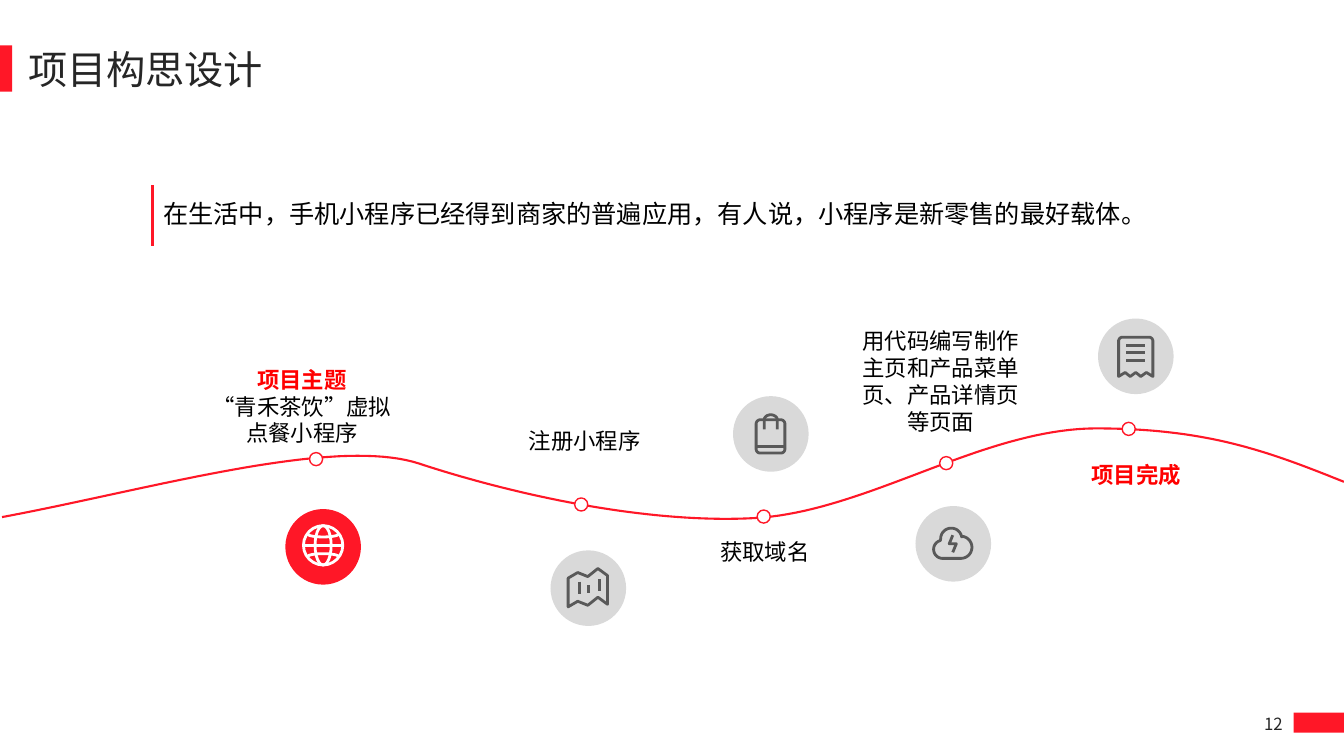
from dataclasses import dataclass
from math import cos, radians, sin

from lxml import etree
from pptx import Presentation
from pptx import util as u
from pptx.dml.color import RGBColor
from pptx.enum import shapes, text
from pptx.oxml.ns import qn

# Grid: every length is a number of square cells, 133.3 columns by 75 rows
CELL = u.Inches(0.1)
COLUMNS, ROWS = 133.3, 75
FONT = "Noto Sans CJK SC"
RED, BRIGHT_RED, WHITE, BLACK = "FF1727", "FF0000", "FFFFFF", "000000"
INK, GREY, LIGHT_GREY = "262626", "595959", "D9D9D9"
DOT_SIZE, DISC_SIZE, DISC_SHIFT = 1.3, 7.5, 0.7

Point = tuple[float, float]
Box = tuple[float, float, float, float]


@dataclass
class Stroke:
    points: list[Point]
    closed: bool = False


@dataclass
class Line:
    words: str
    size: float = 16
    color: str = BLACK
    bold: bool = False


@dataclass
class Milestone:
    dot: Point
    disc_y: float
    icon: list[Stroke]
    label_box: Box
    label: list[Line]
    disc_color: str = LIGHT_GREY
    icon_color: str = GREY


def cells(*lengths: float) -> list[int]:
    return [round(length * CELL) for length in lengths]


def rgb(color: str) -> RGBColor:
    return RGBColor.from_string(color)


# Outlines as point lists
def arc(x: float, y: float, rx: float, ry: float, start: int, end: int) -> list[Point]:
    angles = [radians(start + (end - start) * step / 24) for step in range(25)]
    return [(x + rx * cos(angle), y + ry * sin(angle)) for angle in angles]


def bezier(start: Point, *segments: tuple[Point, Point, Point]) -> list[Point]:
    points = [start]
    for a, b, c in segments:
        p = points[-1]
        for step in range(1, 41):
            t = step / 40
            weights = ((1 - t) ** 3, 3 * t * (1 - t) ** 2, 3 * t * t * (1 - t), t ** 3)
            points.append(tuple(sum(w * q[axis] for w, q in zip(weights, (p, a, b, c)))
                                for axis in (0, 1)))
    return points


# Drawing functions
def draw_strokes(slide, strokes: list[Stroke], origin: Point, color: str, width: float) -> None:
    builder = None
    for stroke in strokes:
        start, *rest = [tuple(cells(origin[0] + x, origin[1] + y)) for x, y in stroke.points]
        if builder is None:
            builder = slide.shapes.build_freeform(*start, scale=1.0)
        else:
            builder.move_to(*start)
        builder.add_line_segments(rest, close=stroke.closed)
    shape = builder.convert_to_shape()
    shape.shadow.inherit = False
    shape.fill.background()
    shape.line.color.rgb = rgb(color)
    shape.line.width = u.Pt(width)


def draw_shape(slide, kind, box: Box, fill: str, outline: str | None = None) -> None:
    shape = slide.shapes.add_shape(kind, *cells(*box))
    shape.shadow.inherit = False
    shape.fill.solid()
    shape.fill.fore_color.rgb = rgb(fill)
    if outline:
        shape.line.color.rgb = rgb(outline)
        shape.line.width = u.Pt(1)
    else:
        shape.line.fill.background()


def draw_circle(slide, center: Point, size: float, fill: str, outline: str | None = None) -> None:
    box = (center[0] - size / 2, center[1] - size / 2, size, size)
    draw_shape(slide, shapes.MSO_SHAPE.OVAL, box, fill, outline)


def write(shape, box: Box, lines: list[Line], align=text.PP_ALIGN.LEFT, spacing: float = 1) -> None:
    shape.left, shape.top, shape.width, shape.height = cells(*box)
    frame = shape.text_frame
    formats = {"word_wrap": True, "auto_size": text.MSO_AUTO_SIZE.NONE,
               "vertical_anchor": text.MSO_ANCHOR.TOP}
    for name, value in formats.items():
        setattr(frame, name, value)
    for number, line in enumerate(lines):
        paragraph = frame.add_paragraph() if number else frame.paragraphs[0]
        paragraph.alignment, paragraph.line_spacing = align, spacing
        run = paragraph.add_run()
        run.text = line.words
        for name, value in {"name": FONT, "size": u.Pt(line.size), "bold": line.bold}.items():
            setattr(run.font, name, value)
        run.font.color.rgb = rgb(line.color)
        etree.SubElement(run.font._element, qn("a:ea")).set("typeface", FONT)


def add_text(slide, box: Box, lines: list[Line], **formats) -> None:
    write(slide.shapes.add_textbox(*cells(*box)), box, lines, **formats)


def add_rule(slide, start: Point, end: Point) -> None:
    rule = slide.shapes.add_connector(shapes.MSO_CONNECTOR.STRAIGHT, *cells(*start, *end))
    rule.line.color.rgb = rgb(RED)
    rule.line.width = u.Pt(2.25)
    etree.SubElement(rule._element.spPr, qn("a:effectLst"))


# Icons, measured from the centre of their disc
GLOBE = [Stroke(arc(0, -0.15, 1.95, 1.95, 0, 360), True),
         Stroke(arc(0, -0.15, 0.8, 1.95, 0, 360), True),
         Stroke([(-1.95, -0.15), (1.95, -0.15)]),
         Stroke(arc(0, -1.25, 1.5, 0.27, 180, 0)),
         Stroke(arc(0, 0.95, 1.5, 0.27, 180, 360))]
MAP = [Stroke([(-2, -1), (-1.05, -1.55), (-0.05, -1.15), (0.95, -1.95), (1.9, -1.25),
               (1.9, 1.6), (0.95, 0.9), (-0.05, 1.7), (-1.05, 1.3), (-2, 1.85)], True)]
MAP += [Stroke([(x, top), (x, bottom)])
        for x, top, bottom in ((-0.9, -0.65, 0.6), (0.05, -0.3, 0.5), (1.1, -0.9, 0.25))]
BAG = [Stroke(arc(-1.05, -1, 0.4, 0.4, 180, 270) + arc(1, -1, 0.4, 0.4, 270, 360)
              + arc(1, 1.5, 0.4, 0.4, 0, 90) + arc(-1.05, 1.5, 0.4, 0.4, 90, 180), True),
       Stroke([(-1.45, 1.25), (1.4, 1.25)]),
       Stroke([(-0.65, -0.45)] + arc(0, -1.4, 0.65, 0.5, 180, 360) + [(0.65, -0.45)])]
CLOUD = [Stroke(arc(-1.05, 0.55, 0.9, 0.9, 90, 255) + arc(-0.2, -0.5, 1.05, 1.05, 180, 350)
                + arc(0.75, 0.35, 1.1, 1.1, 280, 450), True),
         Stroke([(-0.05, -0.85), (-0.4, 0), (0.3, 0), (-0.05, 0.85)])]
RECEIPT = [Stroke(arc(-1.3, -1.5, 0.4, 0.4, 180, 270) + arc(1.3, -1.5, 0.4, 0.4, 270, 360)
                  + [(1.7, 2), (1.05, 1.6), (0.5, 2), (0, 1.6), (-0.55, 2),
                     (-1.05, 1.6), (-1.7, 2)], True)]
RECEIPT += [Stroke([(-0.95, y), (0.95, y)]) for y in (-1.1, -0.4, 0.4)]

WAVE = bezier((0.2, 51.3),
              ((14.7, 48.6), (33.1, 43.2), (41.6, 46)),
              ((50.1, 48.8), (63.6, 52), (74.8, 51.4)),
              ((85.9, 50.8), (97.3, 42.6), (108.6, 42.5)),
              ((119.8, 42.5), (125.8, 44.8), (COLUMNS, 47.8)))

MILESTONES = [
    Milestone((31.35, 45.55), 54.25, GLOBE, (19.1, 35.8, 21.7, 9.1),
              [Line("项目主题", color=BRIGHT_RED, bold=True), Line("“青禾茶饮”虚拟点餐小程序")],
              RED, WHITE),
    Milestone((57.65, 50.05), 58.35, MAP, (49.2, 41.9, 17.6, 3.7), [Line("注册小程序")]),
    Milestone((75.75, 51.25), 43.05, BAG, (67.1, 52.9, 17.5, 3.7), [Line("获取域名")]),
    Milestone((93.85, 45.95), 53.95, CLOUD, (83.9, 32, 18.8, 11.8),
              [Line("用代码编写制作主页和产品菜单页、产品详情页等页面")]),
    Milestone((111.95, 42.55), 35.35, RECEIPT, (103.3, 45.3, 18.8, 3.7),
              [Line("项目完成", color=BRIGHT_RED, bold=True)]),
]


def main() -> None:
    presentation = Presentation()
    presentation.slide_width, presentation.slide_height = cells(COLUMNS, ROWS)
    slide = presentation.slides.add_slide(presentation.slide_layouts[5])

    # Title, corner marks and page number
    for box in ((0, 4.5, 1.2, 4.6), (128.3, 70.7, 5, 2)):
        draw_shape(slide, shapes.MSO_SHAPE.RECTANGLE, box, RED)
    write(slide.shapes.title, (1.8, 4, 30.2, 5.7), [Line("项目构思设计", 28, INK)])
    add_text(slide, (124.4, 70.5, 4.8, 2.8), [Line("12", 12, INK)], spacing=0.9)

    # Opening statement
    add_text(slide, (15.2, 18.3, 106.1, 4.9),
             [Line("在生活中，手机小程序已经得到商家的普遍应用，有人说，小程序是新零售的最好载体。", 18)],
             spacing=1.3)
    add_rule(slide, (15.1, 18.4), (15.1, 24.4))

    # Wave with its milestones
    draw_strokes(slide, [Stroke(WAVE)], (0, 0), RED, 1.5)
    for milestone in MILESTONES:
        center = (milestone.dot[0] + DISC_SHIFT, milestone.disc_y)
        draw_circle(slide, milestone.dot, DOT_SIZE, WHITE, RED)
        draw_circle(slide, center, DISC_SIZE, milestone.disc_color)
        draw_strokes(slide, milestone.icon, center, milestone.icon_color, 2)
        add_text(slide, milestone.label_box, milestone.label, align=text.PP_ALIGN.CENTER)

    presentation.save("out.pptx")


if __name__ == "__main__":
    main()
